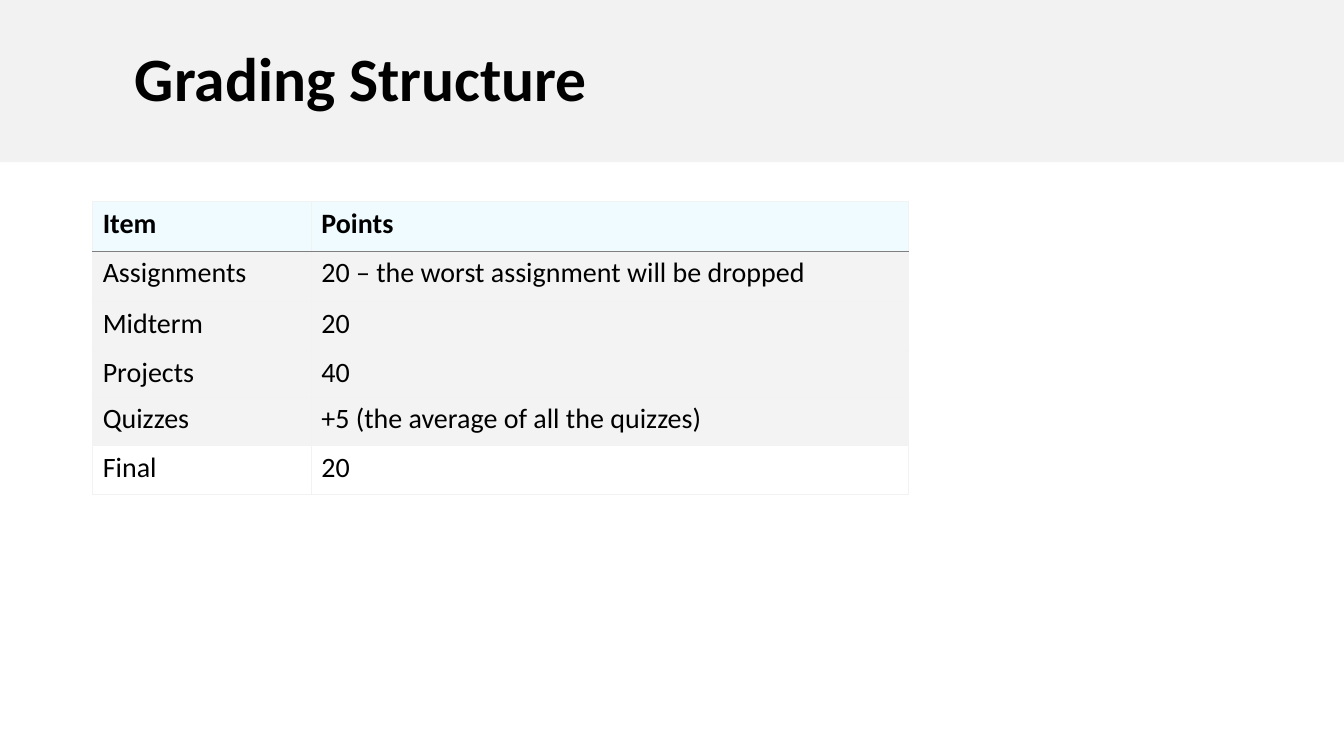
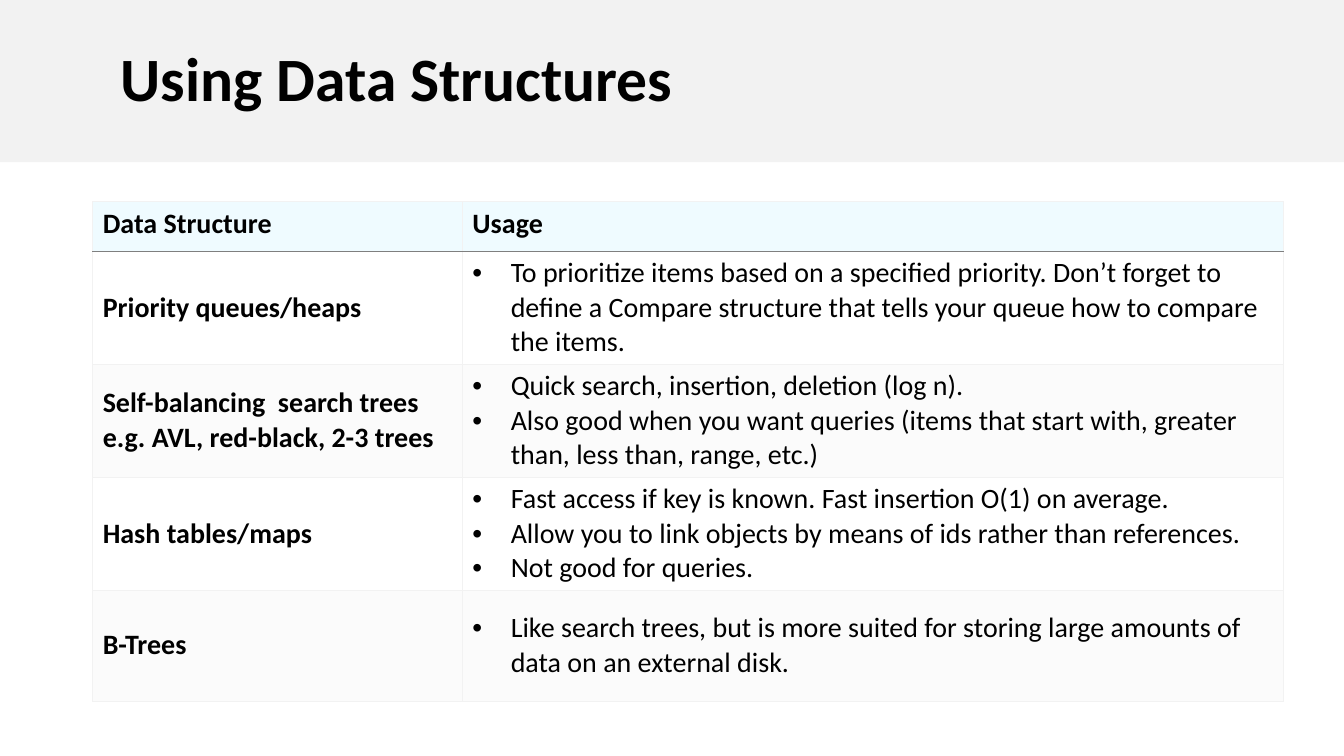
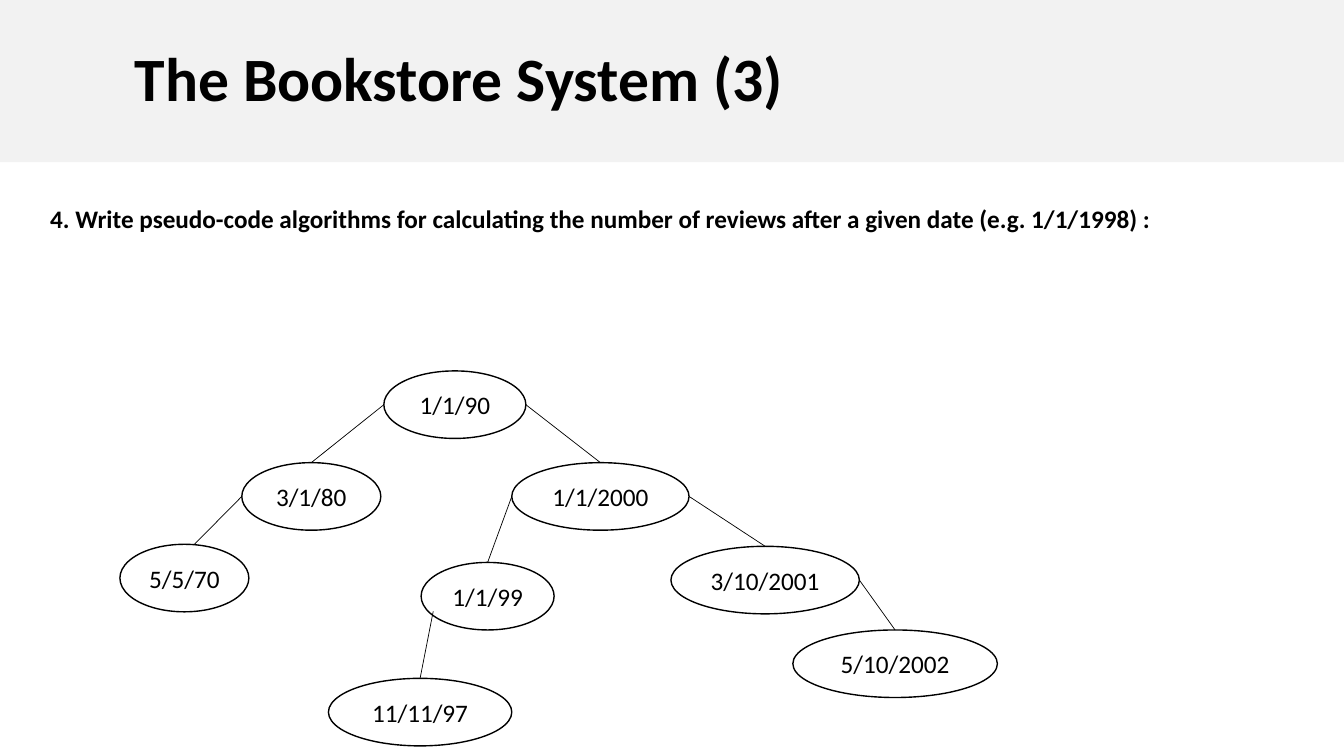
from dataclasses import dataclass

from lxml.etree import SubElement
from pptx import Presentation
from pptx.dml.color import RGBColor
from pptx.enum.shapes import MSO_CONNECTOR, MSO_SHAPE
from pptx.enum.text import MSO_ANCHOR, PP_ALIGN
from pptx.oxml.ns import qn
from pptx.shapes.autoshape import Shape
from pptx.slide import Slide
from pptx.table import _Cell
from pptx.text.text import _Paragraph
from pptx.util import Emu, Pt

EMU_PER_PX = 9144  # 100 px to the inch
PLAIN_TABLE_STYLE = "{2D5ABB26-0587-4C30-8999-92F81FD0307C}"


@dataclass(frozen=True)
class Theme:
    font: str = "Calibri"
    title_size: int = 44
    table_size: int = 20
    body_size: int = 18
    text: str = "000000"
    paper: str = "FFFFFF"
    band: str = "F2F2F2"
    header: str = "EFFBFF"
    header_rule: str = "7F7F7F"
    grid: str = "F2F2F2"
    shaded_row: str = "F3F3F3"
    striped_row: str = "FBFBFB"
    grid_width: float = 0.45
    node_width: float = 1
    branch_width: float = 0.5


THEME = Theme()


@dataclass(frozen=True)
class Row:
    height: int
    fill: str
    label: str
    details: tuple[str, ...]


@dataclass(frozen=True)
class TableStyle:
    label_bold: bool = False
    bulleted: bool = False
    anchor: MSO_ANCHOR = MSO_ANCHOR.TOP


@dataclass(frozen=True)
class Node:
    date: str
    left: int
    top: int
    width: int
    height: int = 67


@dataclass(frozen=True)
class Branch:
    """Runs from a side of the parent to the top of the child, shifted in px if asked."""
    parent: str
    child: str
    to_right: bool = False
    start_shift: tuple[int, int] = (0, 0)
    end_shift: int = 0


GRADING_ROWS = (
    Row(49, THEME.header, "Item", ("Points",)),
    Row(50, THEME.shaded_row, "Assignments", ("20 – the worst assignment will be dropped",)),
    Row(49, THEME.shaded_row, "Midterm", ("20",)),
    Row(46, THEME.shaded_row, "Projects", ("40",)),
    Row(48, THEME.shaded_row, "Quizzes", ("+5 (the average of all the quizzes)",)),
    Row(48, THEME.paper, "Final", ("20",)),
)

USAGE_ROWS = (
    Row(49, THEME.header, "Data Structure", ("Usage",)),
    Row(110, THEME.paper, "Priority queues/heaps", (
        "To prioritize items based on a specified priority. Don’t forget to define a Compare "
        "structure that tells your queue how to compare the items.",
    )),
    Row(110, THEME.striped_row, "Self-balancing  search trees\ne.g. AVL, red-black, 2-3 trees", (
        "Quick search, insertion, deletion (log n).",
        "Also good when you want queries (items that start with, greater than, less than, "
        "range, etc.)",
    )),
    Row(110, THEME.paper, "Hash tables/maps", (
        "Fast access if key is known. Fast insertion O(1) on average.",
        "Allow you to link objects by means of ids rather than references.",
        "Not good for queries.",
    )),
    Row(110, THEME.striped_row, "B-Trees", (
        "Like search trees, but is more suited for storing large amounts of data on an "
        "external disk.",
    )),
)

NODES = (
    Node("1/1/90", 381, 368, 141),
    Node("3/1/80", 240, 459, 138),
    Node("1/1/2000", 508, 459, 176),
    Node("5/5/70", 119, 540, 128),
    Node("1/1/99", 418, 558, 132),
    Node("3/10/2001", 666, 542, 187),
    Node("11/11/97", 326, 673, 182),
    Node("5/10/2002", 787, 625, 203),
)

BRANCHES = (
    Branch("1/1/90", "3/1/80"),
    Branch("1/1/90", "1/1/2000", to_right=True),
    Branch("3/1/80", "5/5/70", end_shift=10),
    Branch("1/1/2000", "1/1/99"),
    Branch("1/1/2000", "3/10/2001", to_right=True),
    Branch("1/1/99", "11/11/97", start_shift=(12, 15)),
    Branch("3/10/2001", "5/10/2002", to_right=True),
)


def px(length: int) -> Emu:
    return Emu(length * EMU_PER_PX)


def color(value: str) -> RGBColor:
    return RGBColor.from_string(value)


def style_text(para: _Paragraph, size: int, bold: bool = False) -> None:
    para.font.name = THEME.font
    para.font.size = Pt(size)
    para.font.bold = bold
    para.font.color.rgb = color(THEME.text)


def add_bullet(para: _Paragraph, indent: int = 38) -> None:
    properties = para._p.get_or_add_pPr()
    properties.set("marL", str(px(indent)))
    properties.set("indent", str(-px(indent)))
    SubElement(properties, qn("a:buFont")).set("typeface", "Arial")
    SubElement(properties, qn("a:buChar")).set("char", "•")


def add_plain_shape(page: Slide, kind: MSO_SHAPE, left: int, top: int, width: int,
                    height: int, fill: str) -> Shape:
    shape = page.shapes.add_shape(kind, px(left), px(top), px(width), px(height))
    shape.shadow.inherit = False
    shape.fill.solid()
    shape.fill.fore_color.rgb = color(fill)
    shape.line.fill.background()
    shape.text_frame.vertical_anchor = MSO_ANCHOR.MIDDLE
    return shape


def add_title_band(page: Slide, title: str, indent: int = 134) -> None:
    band = add_plain_shape(page, MSO_SHAPE.RECTANGLE, 0, 0, 1334, 161, THEME.band)
    frame = band.text_frame
    frame.word_wrap = True
    frame.margin_left = px(indent)
    para = frame.paragraphs[0]
    para.text = title
    para.alignment = PP_ALIGN.LEFT
    para.line_spacing = 0.9
    style_text(para, THEME.title_size, bold=True)


def add_borders(cell: _Cell, top: str, bottom: str) -> None:
    properties = cell._tc.get_or_add_tcPr()
    sides = {"a:lnL": THEME.grid, "a:lnR": THEME.grid, "a:lnT": top, "a:lnB": bottom}
    for tag, value in sides.items():
        line = SubElement(properties, qn(tag), w=str(Pt(THEME.grid_width)))
        fill = SubElement(line, qn("a:solidFill"))
        SubElement(fill, qn("a:srgbClr"), val=value)


def fill_cell(cell: _Cell, lines: list[str], bold: bool, bulleted: bool) -> None:
    frame = cell.text_frame
    frame.text = "\n".join(lines)
    for para in frame.paragraphs:
        if bulleted:
            add_bullet(para)
        style_text(para, THEME.table_size, bold)


def add_ruled_table(page: Slide, widths: tuple[int, int], rows: tuple[Row, ...],
                    style: TableStyle) -> None:
    """Draws a header row with a dark rule below it, then the body rows."""
    frame = page.shapes.add_table(len(rows), len(widths), px(92), px(200),
                                  px(sum(widths)), px(sum(row.height for row in rows)))
    table = frame.table
    table.horz_banding = False
    table._tbl.tblPr.find(qn("a:tableStyleId")).text = PLAIN_TABLE_STYLE
    for column, width in zip(table.columns, widths):
        column.width = px(width)
    for index, row in enumerate(rows):
        is_header = index == 0
        table.rows[index].height = px(row.height)
        label, details = table.cell(index, 0), table.cell(index, 1)
        fill_cell(label, row.label.split("\n"), is_header or style.label_bold, False)
        fill_cell(details, list(row.details), is_header, style.bulleted and not is_header)
        for cell in (label, details):
            cell.vertical_anchor = MSO_ANCHOR.TOP if is_header else style.anchor
            add_borders(cell, top=THEME.header_rule if index == 1 else THEME.grid,
                        bottom=THEME.header_rule if is_header else THEME.grid)
            cell.fill.solid()
            cell.fill.fore_color.rgb = color(row.fill)


def add_question(page: Slide, question: str) -> None:
    box = page.shapes.add_textbox(px(40), px(195), px(1119), px(42))
    box.text_frame.word_wrap = True
    para = box.text_frame.paragraphs[0]
    para.text = question
    para.line_spacing = 1.07
    para.space_after = Pt(8)
    style_text(para, THEME.body_size, bold=True)


def add_node(page: Slide, node: Node) -> Shape:
    oval = add_plain_shape(page, MSO_SHAPE.OVAL, node.left, node.top, node.width,
                           node.height, THEME.paper)
    oval.line.color.rgb = color(THEME.text)
    oval.line.width = Pt(THEME.node_width)
    oval.text_frame.word_wrap = False
    para = oval.text_frame.paragraphs[0]
    para.text = node.date
    para.alignment = PP_ALIGN.CENTER
    style_text(para, THEME.body_size)
    return oval


def add_branch(page: Slide, branch: Branch, parent: Shape, child: Shape) -> None:
    shift_x, shift_y = branch.start_shift
    start_x = parent.left + (parent.width if branch.to_right else 0) + px(shift_x)
    start_y = parent.top + parent.height // 2 + px(shift_y)
    end_x = child.left + child.width // 2 + px(branch.end_shift)
    line = page.shapes.add_connector(MSO_CONNECTOR.STRAIGHT, start_x, start_y,
                                     end_x, child.top)
    if not branch.end_shift:
        line.end_connect(child, 0)
    line.line.color.rgb = color(THEME.text)
    line.line.width = Pt(THEME.branch_width)
    SubElement(line._element.spPr, qn("a:effectLst"))


def build_grading(page: Slide) -> None:
    add_title_band(page, "Grading Structure")
    add_ruled_table(page, (217, 593), GRADING_ROWS, TableStyle())


def build_usage(page: Slide) -> None:
    add_title_band(page, "Using Data Structures", indent=120)
    add_ruled_table(page, (367, 815), USAGE_ROWS,
                    TableStyle(label_bold=True, bulleted=True, anchor=MSO_ANCHOR.MIDDLE))


def build_bookstore(page: Slide) -> None:
    add_title_band(page, "The Bookstore System (3)")
    add_question(page, "4. Write pseudo-code algorithms for calculating the number of "
                       "reviews after a given date (e.g. 1/1/1998) :")
    ovals = {node.date: add_node(page, node) for node in NODES}
    for branch in BRANCHES:
        add_branch(page, branch, ovals[branch.parent], ovals[branch.child])


def main() -> None:
    deck = Presentation()
    deck.slide_width, deck.slide_height = px(1334), px(750)
    blank = deck.slide_layouts[6]
    for build in (build_grading, build_usage, build_bookstore):
        build(deck.slides.add_slide(blank))
    deck.save("out.pptx")


if __name__ == "__main__":
    main()
